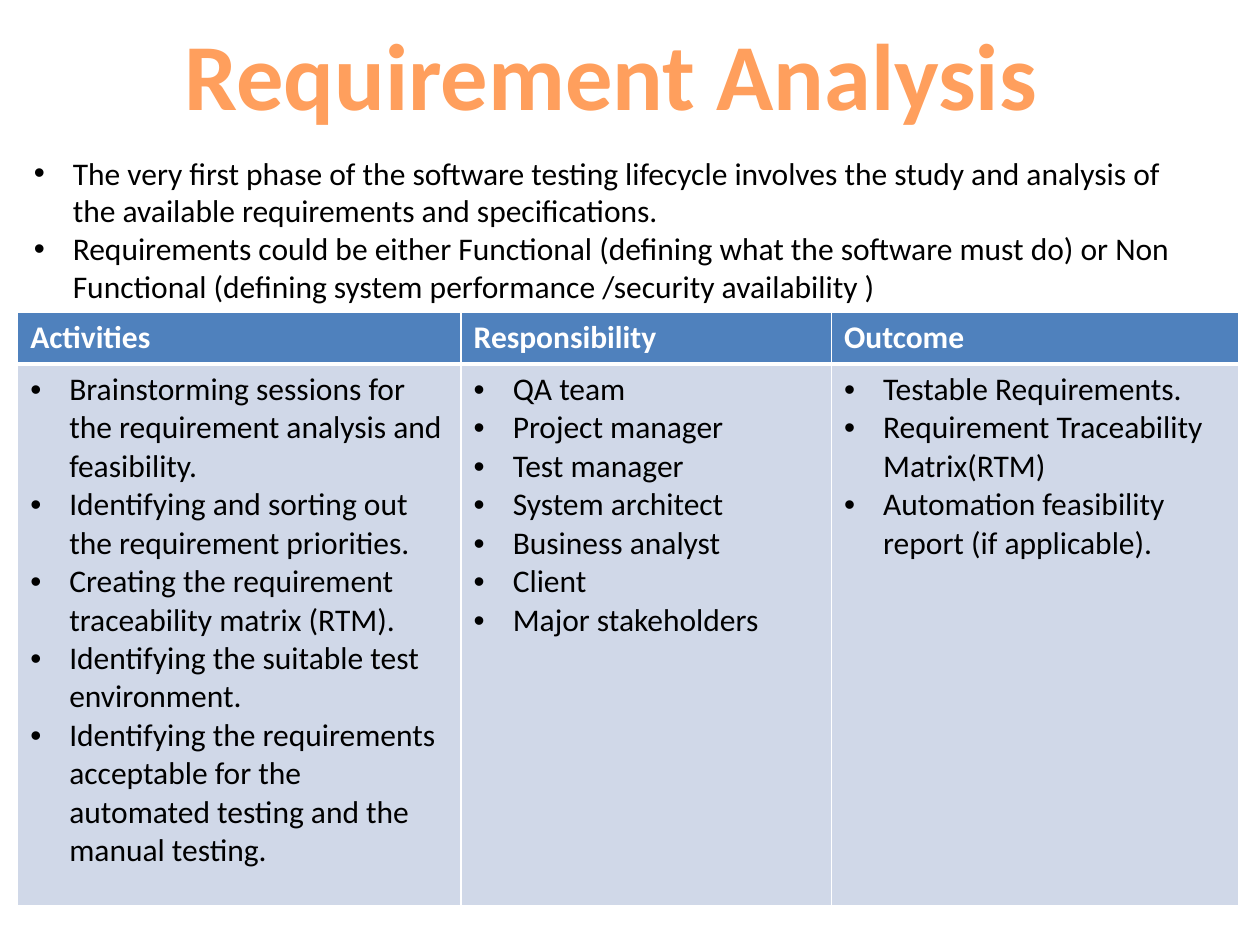
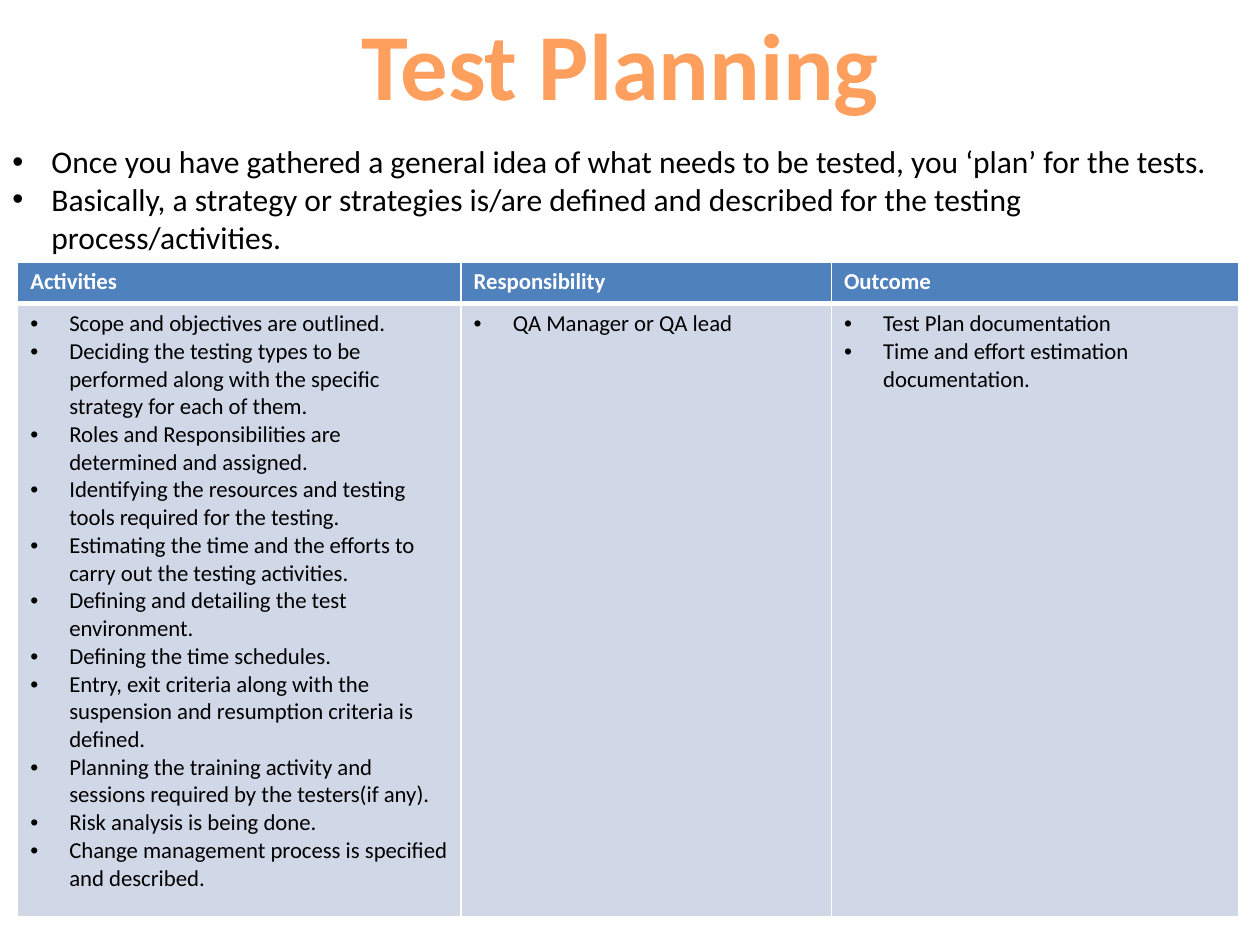
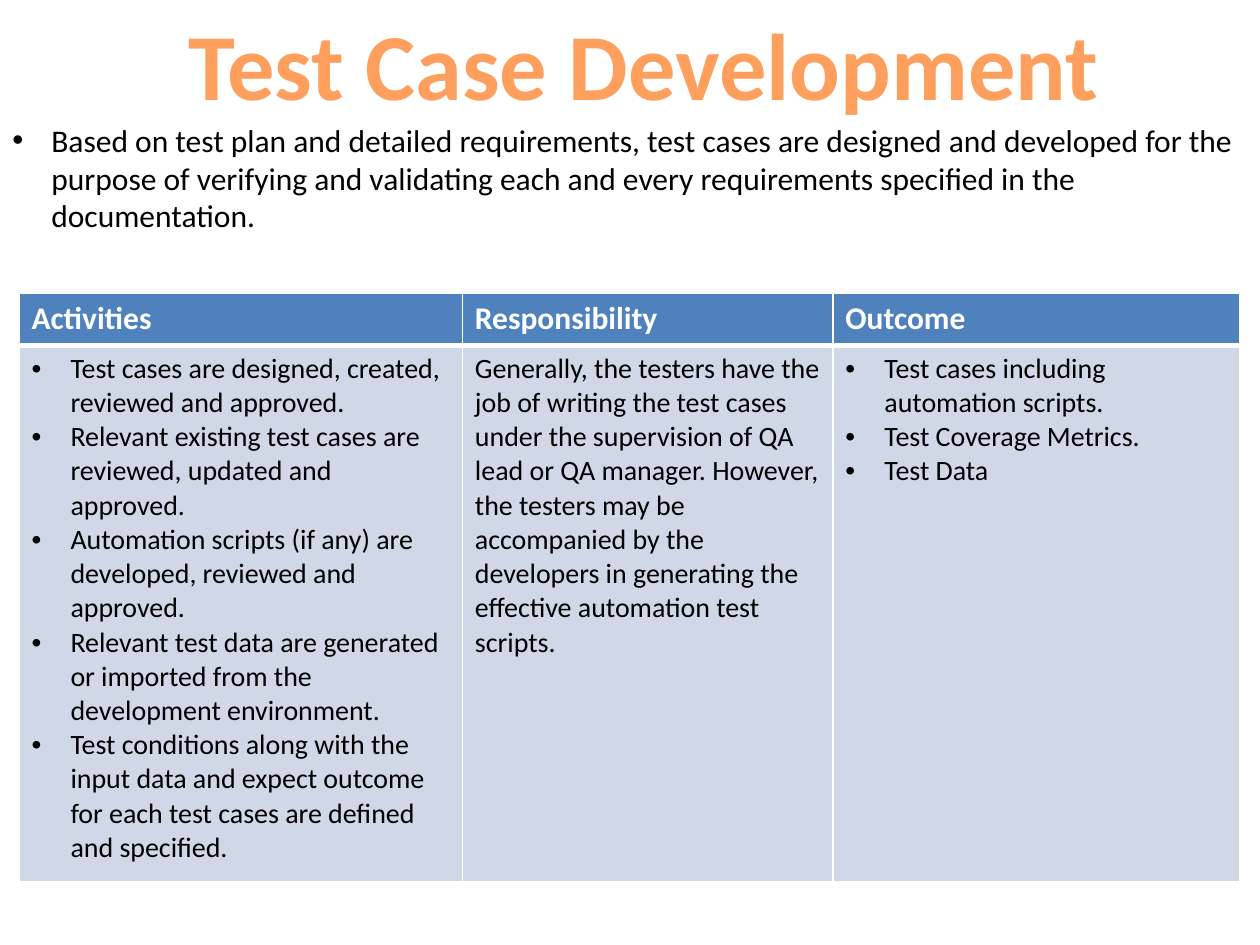
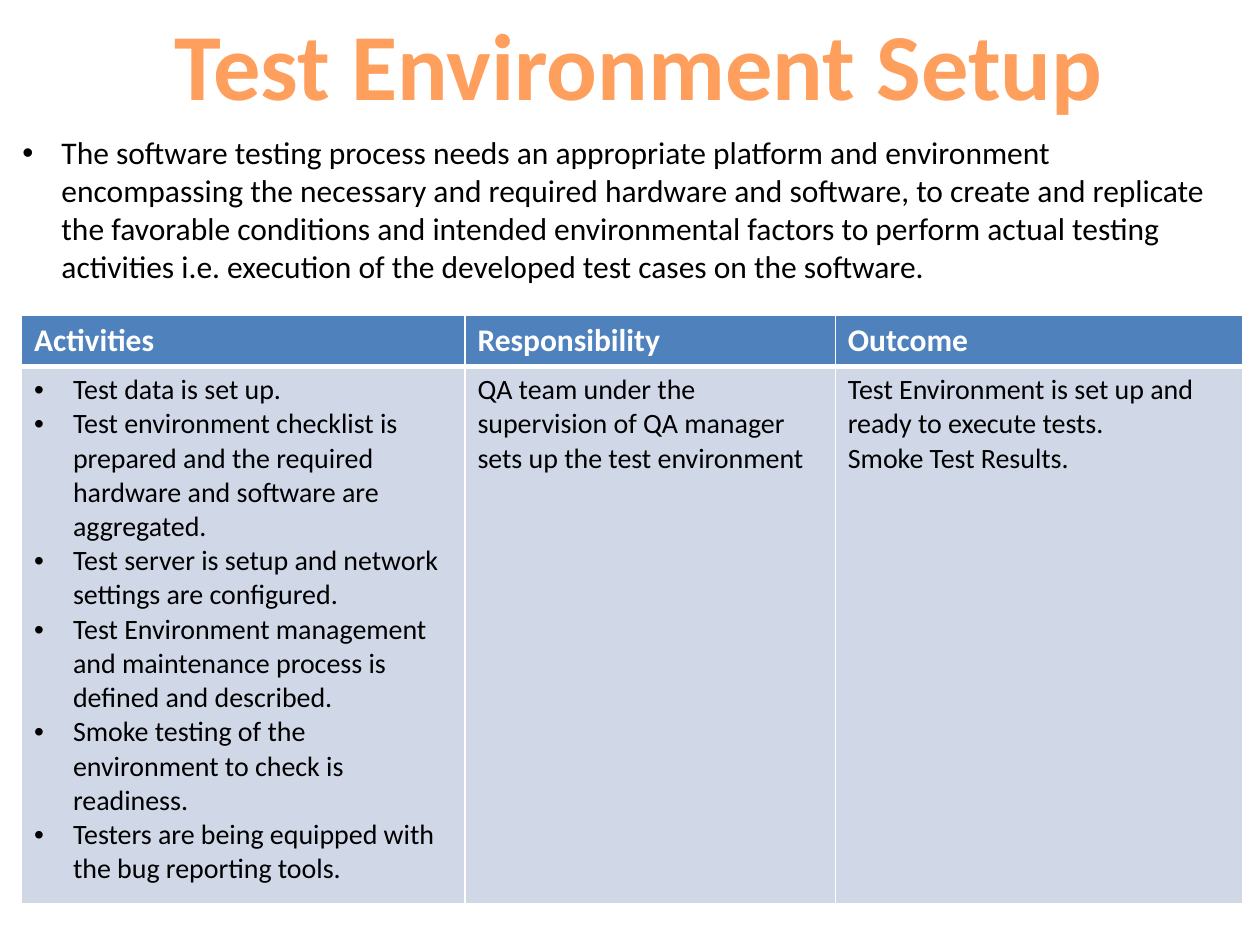
import dataclasses

import lxml.etree
import pptx
import pptx.dml.color
import pptx.enum.text
import pptx.oxml
import pptx.oxml.ns
import pptx.util

Inches = pptx.util.Inches
Pt = pptx.util.Pt

FONT = "Calibri"
COLORS = {
    "text": "000000",
    "header_text": "FFFFFF",
    "header_fill": "4F81BD",
    "body_fill": "D0D8E8",
    "border": "FFFFFF",
}
TITLE_GRADIENT = ((0, "FFA367"), (25, "FF9F5D"), (50, "F38E3A"),
                  (75, "FF9F5D"), (100, "FFA367"))
HEADINGS = ("Activities", "Responsibility", "Outcome")
COLUMN_WIDTHS = (3.52, 2.94, 3.23)
BULLET_INDENT = 0.31


@dataclasses.dataclass
class Phase:
    """One testing phase; boxes are (left, top, width, height) in inches."""
    title: str
    title_box: tuple
    summary: list
    summary_box: tuple
    table_box: tuple
    columns: list
    body_size: int
    header_size: int = 18
    header_height: float = 0.41
    title_wraps: bool = False
    plain_headings: tuple = ()


PHASES = [
    Phase(
        title="Requirement Analysis",
        title_box=(1.33, 0.08, 7.04, 1.01),
        summary=[
            "The very first phase of the software testing lifecycle involves the study "
            "and analysis of the available requirements and specifications.",
            "Requirements could be either Functional (defining what the software must do) "
            "or Non Functional (defining system performance /security availability )",
        ],
        summary_box=(0.17, 1.17, 9.5, 1.31),
        table_box=(0.14, 2.48, 9.69, 4.71),
        body_size=18,
        columns=[
            [
                "Brainstorming sessions for the requirement analysis and feasibility.",
                "Identifying and sorting out the requirement priorities.",
                "Creating the requirement traceability matrix (RTM).",
                "Identifying the suitable test environment.",
                "Identifying the requirements acceptable for the automated testing "
                "and the manual testing.",
            ],
            [
                "QA team",
                "Project manager",
                "Test manager",
                "System architect",
                "Business analyst",
                "Client",
                "Major stakeholders",
            ],
            [
                "Testable Requirements.",
                "Requirement Traceability Matrix(RTM)",
                "Automation feasibility report (if applicable).",
            ],
        ],
    ),
    Phase(
        title="Test Planning",
        title_box=(2.75, 0, 4.35, 1.01),
        summary=[
            "Once you have gathered a general idea of what needs to be tested, "
            "you ‘plan’ for the tests.",
            "Basically, a strategy or strategies is/are defined and described "
            "for the testing process/activities.",
        ],
        summary_box=(0, 1.08, 9.92, 1.01),
        table_box=(0.14, 2.08, 9.69, 5.2),
        header_size=13,
        header_height=0.33,
        body_size=13,
        columns=[
            [
                "Scope and objectives are outlined.",
                "Deciding the testing types to be performed along with the specific "
                "strategy for each of them.",
                "Roles and Responsibilities are determined and assigned.",
                "Identifying the resources and testing tools required for the testing.",
                "Estimating the time and the efforts to carry out the testing activities.",
                "Defining and detailing the test environment.",
                "Defining the time schedules.",
                "Entry, exit criteria along with the suspension and resumption "
                "criteria is defined.",
                "Planning the training activity and sessions required by the "
                "testers(if any).",
                "Risk analysis is being done.",
                "Change management process is specified and described.",
            ],
            ["QA Manager or QA lead"],
            [
                "Test Plan documentation",
                "Time and effort estimation documentation.",
            ],
        ],
    ),
    Phase(
        title="Test Case Development",
        title_box=(-0.01, 0, 10.24, 1.01),
        title_wraps=True,
        summary=[
            "Based on test plan and detailed requirements, test cases are designed and "
            "developed for the purpose of verifying and validating each and every "
            "requirements specified in the documentation.",
        ],
        summary_box=(0, 0.91, 10, 1.01),
        table_box=(0.15, 2.33, 9.69, 4.67),
        body_size=16,
        plain_headings=("Responsibility",),
        columns=[
            [
                "Test cases are designed, created, reviewed and approved.",
                "Relevant existing test cases are reviewed, updated and approved.",
                "Automation scripts (if any) are developed, reviewed and approved.",
                "Relevant test data are generated or imported from the development "
                "environment.",
                "Test conditions along with the input data and expect outcome for each "
                "test cases are defined and specified.",
            ],
            [
                "Generally, the testers have the job of writing the test cases under the "
                "supervision of QA lead or QA manager. However, the testers may be "
                "accompanied by the developers in generating the effective automation "
                "test scripts.",
            ],
            [
                "Test cases including automation scripts.",
                "Test Coverage Metrics.",
                "Test Data",
            ],
        ],
    ),
    Phase(
        title="Test Environment Setup",
        title_box=(1.25, 0, 7.64, 1.01),
        summary=[
            "The software testing process needs an appropriate platform and environment "
            "encompassing the necessary and required hardware and software, to create and "
            "replicate the favorable conditions and intended environmental factors to "
            "perform actual testing activities i.e. execution of the developed test cases "
            "on the software.",
        ],
        summary_box=(0.08, 1.01, 9.83, 1.31),
        table_box=(0.17, 2.5, 9.69, 4.67),
        body_size=16,
        plain_headings=("Responsibility", "Outcome"),
        columns=[
            [
                "Test data is set up.",
                "Test environment checklist is prepared and the required hardware and "
                "software are aggregated.",
                "Test server is setup and network settings are configured.",
                "Test Environment management and maintenance process is defined and "
                "described.",
                "Smoke testing of the environment to check is readiness.",
                "Testers are being equipped with the bug reporting tools.",
            ],
            ["QA team under the supervision of QA manager sets up the test environment"],
            [
                "Test Environment is set up and ready to execute tests.",
                "Smoke Test Results.",
            ],
        ],
    ),
]


def rgb(color):
    return pptx.dml.color.RGBColor.from_string(COLORS[color])


def add_child(parent, tag, **attributes):
    return lxml.etree.SubElement(parent, pptx.oxml.ns.qn(tag), attributes)


def add_run(paragraph, text, size, bold=False):
    run = paragraph.add_run()
    run.text = text
    run.font.name = FONT
    run.font.size = Pt(size)
    run.font.bold = bold
    return run


def add_bullet(paragraph):
    properties = paragraph._p.get_or_add_pPr()
    indent = Inches(BULLET_INDENT)
    properties.set("marL", str(indent))
    properties.set("indent", str(-indent))
    add_child(properties, "a:buFont", typeface="Arial")
    add_child(properties, "a:buChar", char="•")


def fill_paragraphs(frame, lines, size, color, bold=False, bulleted=False):
    for index, line in enumerate(lines):
        paragraph = frame.add_paragraph() if index else frame.paragraphs[0]
        if bulleted:
            add_bullet(paragraph)
        add_run(paragraph, line, size, bold).font.color.rgb = rgb(color)


def add_text_frame(slide, box, wraps=True):
    frame = slide.shapes.add_textbox(*map(Inches, box)).text_frame
    frame.word_wrap = wraps
    frame.auto_size = pptx.enum.text.MSO_AUTO_SIZE.SHAPE_TO_FIT_TEXT
    return frame


def apply_title_gradient(run):
    gradient = pptx.oxml.parse_xml(
        f'<a:gradFill {pptx.oxml.ns.nsdecls("a")}><a:gsLst/>'
        '<a:lin ang="5400000"/></a:gradFill>')
    for percent, color in TITLE_GRADIENT:
        stop = add_child(gradient[0], "a:gs", pos=str(percent * 1000))
        add_child(stop, "a:srgbClr", val=color)
    run.font._element.insert(0, gradient)


def add_title(slide, box, text, wraps):
    paragraph = add_text_frame(slide, box, wraps).paragraphs[0]
    paragraph.alignment = pptx.enum.text.PP_ALIGN.CENTER
    apply_title_gradient(add_run(paragraph, text, 54, bold=True))


def add_summary(slide, box, lines):
    fill_paragraphs(add_text_frame(slide, box), lines, 18, "text", bulleted=True)


def style_cell(cell, fill, top=1, bottom=1):
    """Set the fill and the border widths, in points."""
    properties = cell._tc.get_or_add_tcPr()
    for side, width in (("L", 1), ("R", 1), ("T", top), ("B", bottom)):
        line = add_child(properties, f"a:ln{side}", w=str(Pt(width)))
        solid = add_child(line, "a:solidFill")
        add_child(solid, "a:srgbClr", val=COLORS["border"])
    cell.fill.solid()
    cell.fill.fore_color.rgb = rgb(fill)


def add_phase_table(slide, box, phase):
    table = slide.shapes.add_table(2, len(HEADINGS), *map(Inches, box)).table
    table.horz_banding = False
    table.rows[0].height = Inches(phase.header_height)
    table.rows[1].height = Inches(box[3] - phase.header_height)
    for index, (heading, lines) in enumerate(zip(HEADINGS, phase.columns)):
        table.columns[index].width = Inches(COLUMN_WIDTHS[index])
        header, body = table.cell(0, index), table.cell(1, index)
        style_cell(header, "header_fill", bottom=3)
        style_cell(body, "body_fill", top=3)
        fill_paragraphs(header.text_frame, [heading], phase.header_size,
                        "header_text", bold=True)
        fill_paragraphs(body.text_frame, lines, phase.body_size, "text",
                        bulleted=heading not in phase.plain_headings)


def add_phase_slide(presentation, phase):
    slide = presentation.slides.add_slide(presentation.slide_layouts[6])
    add_title(slide, phase.title_box, phase.title, phase.title_wraps)
    add_summary(slide, phase.summary_box, phase.summary)
    add_phase_table(slide, phase.table_box, phase)


def main():
    presentation = pptx.Presentation()
    presentation.slide_width = Inches(10)
    presentation.slide_height = Inches(7.5)
    for phase in PHASES:
        add_phase_slide(presentation, phase)
    presentation.save("out.pptx")


if __name__ == "__main__":
    main()
